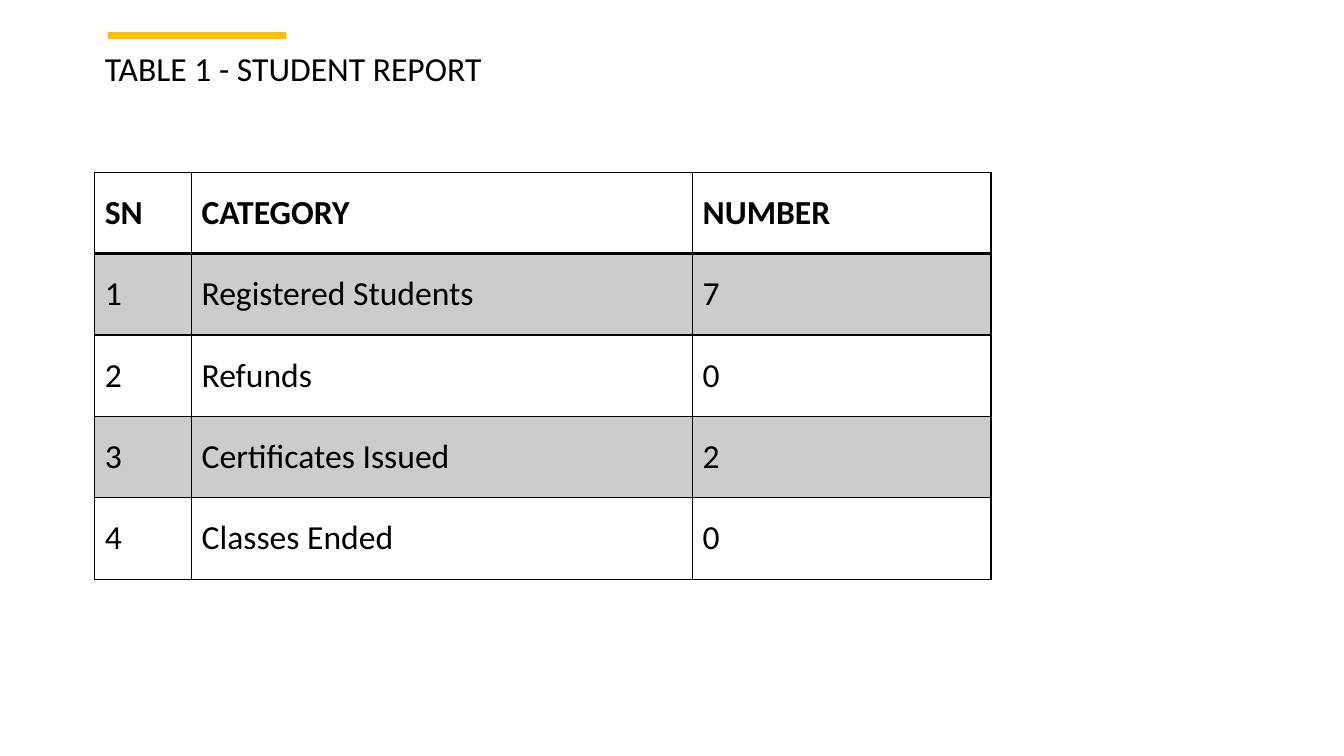
"""Build the student report slide with its title, accent bar and table."""
from lxml import etree
from pptx import Presentation
from pptx.dml.color import RGBColor
from pptx.enum.shapes import MSO_SHAPE
from pptx.enum.text import MSO_ANCHOR, PP_ALIGN
from pptx.oxml.ns import qn
from pptx.util import Pt

PX = 9144
BLACK = RGBColor(0x00, 0x00, 0x00)
GOLD = RGBColor(0xFF, 0xC0, 0x00)
RECT = MSO_SHAPE.RECTANGLE
MIDDLE = MSO_ANCHOR.MIDDLE
LEFT = PP_ALIGN.LEFT
FONT = "Calibri"
TITLE_ONLY = 5

WIDTHS = [96, 497, 296]
ROW_H = 80
ROWS = [
    ("SN", "CATEGORY", "NUMBER"),
    ("1", "Registered Students", "7"),
    ("2", "Refunds", "0"),
    ("3", "Certificates Issued", "2"),
    ("4", "Classes Ended", "0"),
]


def px(*sizes):
    """Turn px lengths into EMU."""
    return [size * PX for size in sizes]


def write(frame, text, size=24, bold=False, color=BLACK, space=None):
    """Put one formatted paragraph into a text frame."""
    frame.text = text
    para = frame.paragraphs[0]
    para.alignment = LEFT
    para.line_spacing = space
    font = para.runs[0].font
    font.name, font.size, font.bold = FONT, Pt(size), bold
    font.color.rgb = color


def add_title(slide, text, box):
    """Move and fill the title placeholder."""
    title = slide.shapes.title
    title.left, title.top, title.width, title.height = px(*box)
    title.text_frame.vertical_anchor = MIDDLE
    write(title.text_frame, text, space=0.9)


def add_bar(slide, box, color):
    """Draw a plain filled bar."""
    bar = slide.shapes.add_shape(RECT, *px(*box))
    bar.shadow.inherit = False
    bar.fill.solid()
    bar.fill.fore_color.rgb = color
    bar.line.fill.background()


def set_edge(cell, side, width):
    """Give one side of a cell a black line."""
    props = cell._tc.get_or_add_tcPr()
    line = etree.SubElement(props, qn(f"a:ln{side}"), w=str(Pt(width)))
    fill = etree.SubElement(line, qn("a:solidFill"))
    etree.SubElement(fill, qn("a:srgbClr"), val=str(BLACK))


def set_fill(cell, shaded):
    """Shade a cell with black at 20% opacity, or leave it clear."""
    if not shaded:
        cell.fill.background()
        return
    cell.fill.solid()
    cell.fill.fore_color.rgb = BLACK
    color = cell._tc.tcPr.find(qn("a:solidFill")).find(qn("a:srgbClr"))
    etree.SubElement(color, qn("a:alpha"), val="20000")


def add_grid(slide, left, top):
    """Add the report table with its heading and banded rows."""
    box = px(left, top, sum(WIDTHS), ROW_H * len(ROWS))
    table = slide.shapes.add_table(len(ROWS), len(WIDTHS), *box).table
    table.first_row = table.horz_banding = False
    for col, width in zip(table.columns, px(*WIDTHS)):
        col.width = width
    for r, row in enumerate(ROWS):
        table.rows[r].height = ROW_H * PX
        edges = {"L": 1, "R": 1, "T": 2 if r == 1 else 1, "B": 2 if r == 0 else 1}
        for c, text in enumerate(row):
            cell = table.cell(r, c)
            cell.margin_left = cell.margin_right = 10 * PX
            cell.margin_top = cell.margin_bottom = 20 * PX
            write(cell.text_frame, text, bold=r == 0)
            for side, width in edges.items():
                set_edge(cell, side, width)
            set_fill(cell, r % 2 == 1)


def main():
    """Build and save the slide."""
    deck = Presentation()
    deck.slide_width, deck.slide_height = px(1333, 750)
    slide = deck.slides.add_slide(deck.slide_layouts[TITLE_ONLY])
    add_title(slide, "TABLE 1 - STUDENT REPORT", (94, 22, 1003, 97))
    add_grid(slide, 94, 171)
    add_bar(slide, (107, 32, 177, 7), GOLD)
    deck.save("out.pptx")


if __name__ == "__main__":
    main()
